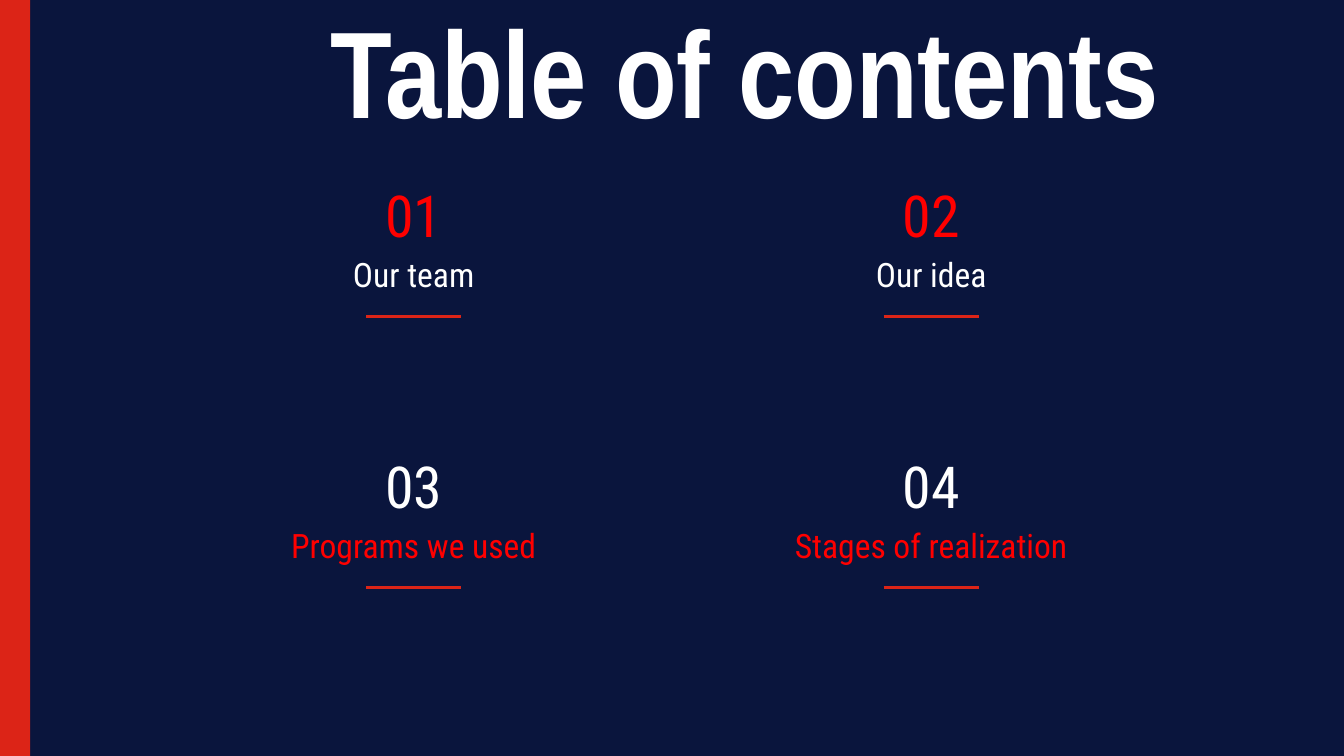
"""Build a table of contents slide with four numbered sections."""
from lxml.etree import SubElement
from pptx import Presentation
from pptx.dml.color import RGBColor
from pptx.enum.shapes import MSO_CONNECTOR, MSO_SHAPE
from pptx.enum.text import MSO_ANCHOR as Anchor, MSO_AUTO_SIZE as AutoSize, PP_ALIGN as Align
from pptx.oxml.ns import qn
from pptx.util import Cm, Pt

COLORS = {"navy": "0A153D", "bar": "DC2417", "red": "FF0000", "white": "FFFFFF"}
SECTIONS = [
    ("01", "Our team", "red", "white"),
    ("02", "Our idea", "red", "white"),
    ("03", "Programs we used", "white", "red"),
    ("04", "Stages of realization", "white", "red"),
]
FIRST_CENTER, COLUMN_STEP, ROW_STEP = 7.82, 9.78, 5.13


def color(name):
    return RGBColor.from_string(COLORS[name])


def write(shape, text, font_name, size, color_name, align, anchor):
    frame = shape.text_frame
    frame.word_wrap = True
    frame.auto_size = AutoSize.NONE
    frame.vertical_anchor = anchor
    frame.margin_left = frame.margin_right = Cm(0.25)
    frame.margin_top = frame.margin_bottom = Cm(0.25)
    paragraph = frame.paragraphs[0]
    paragraph.text = text
    paragraph.alignment = align
    paragraph.font.name = font_name
    paragraph.font.size = Pt(size)
    paragraph.font.color.rgb = color(color_name)
    return paragraph


presentation = Presentation()
presentation.slide_width = Cm(25.4)
presentation.slide_height = Cm(14.29)
slide = presentation.slides.add_slide(presentation.slide_layouts[5])
slide.background.fill.solid()
slide.background.fill.fore_color.rgb = color("navy")

side_bar = slide.shapes.add_shape(MSO_SHAPE.RECTANGLE, 0, 0, Cm(0.57), Cm(14.29))
side_bar.shadow.inherit = False
side_bar.fill.solid()
side_bar.fill.fore_color.rgb = color("bar")
side_bar.line.fill.background()

title = slide.shapes.title
title.left, title.top, title.width, title.height = Cm(6), Cm(-0.33), Cm(22.7), Cm(4.85)
heading = write(title, "Table of contents", "Arial Narrow", 66, "white", Align.LEFT, Anchor.TOP)
heading.font.bold = True

for index, (number, label, number_color, label_color) in enumerate(SECTIONS):
    row, column = divmod(index, 2)
    center = FIRST_CENTER + column * COLUMN_STEP
    offset = row * ROW_STEP

    number_box = slide.shapes.add_textbox(Cm(center - 2.96), Cm(3.73 + offset), Cm(5.92), Cm(1.22))
    write(number_box, number, "Roboto Condensed", 31, number_color, Align.CENTER, Anchor.BOTTOM)

    label_box = slide.shapes.add_textbox(Cm(center - 3.75), Cm(4.55 + offset), Cm(7.5), Cm(1.3))
    write(label_box, label, "Roboto Condensed", 18, label_color, Align.CENTER, Anchor.TOP)

    line_y = Cm(5.98 + offset)
    underline = slide.shapes.add_connector(
        MSO_CONNECTOR.STRAIGHT, Cm(center - 0.9), line_y, Cm(center + 0.9), line_y)
    underline.line.color.rgb = color("bar")
    underline.line.width = Pt(1.5)
    SubElement(underline._element.spPr, qn("a:effectLst"))

presentation.save("out.pptx")
